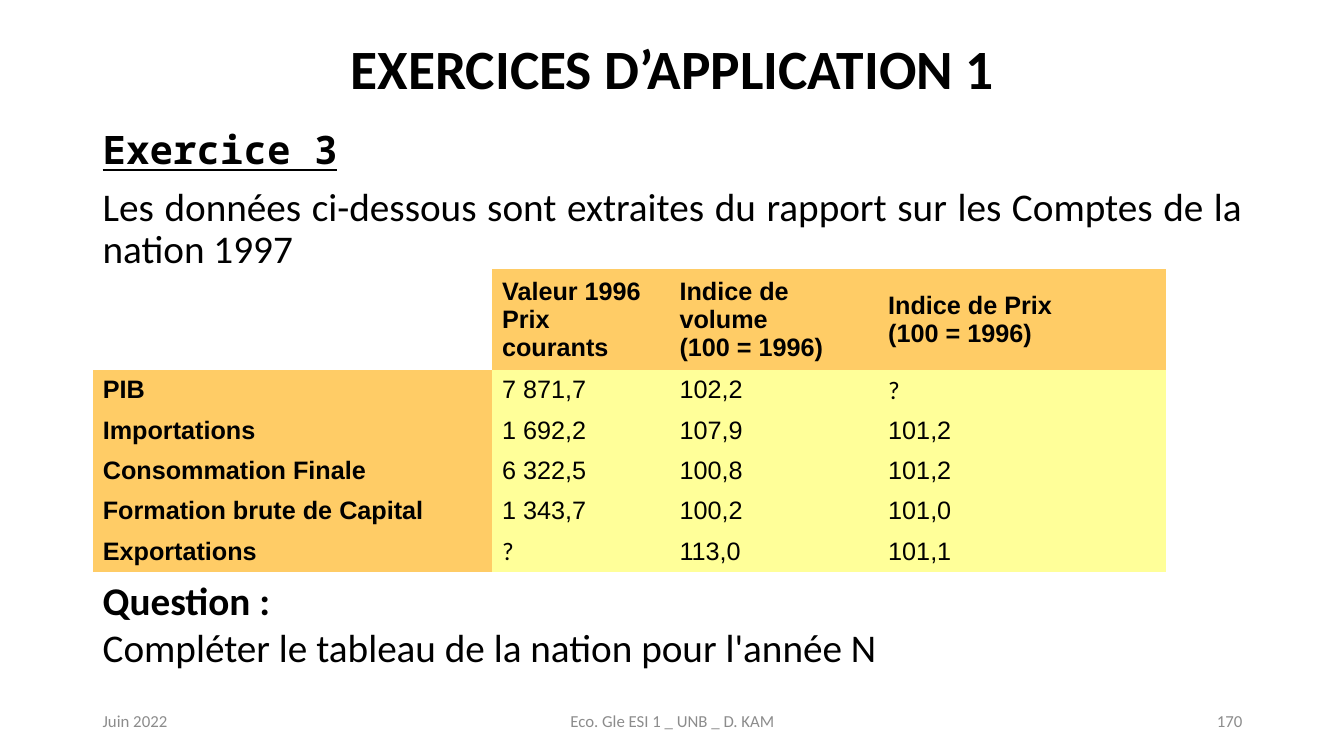
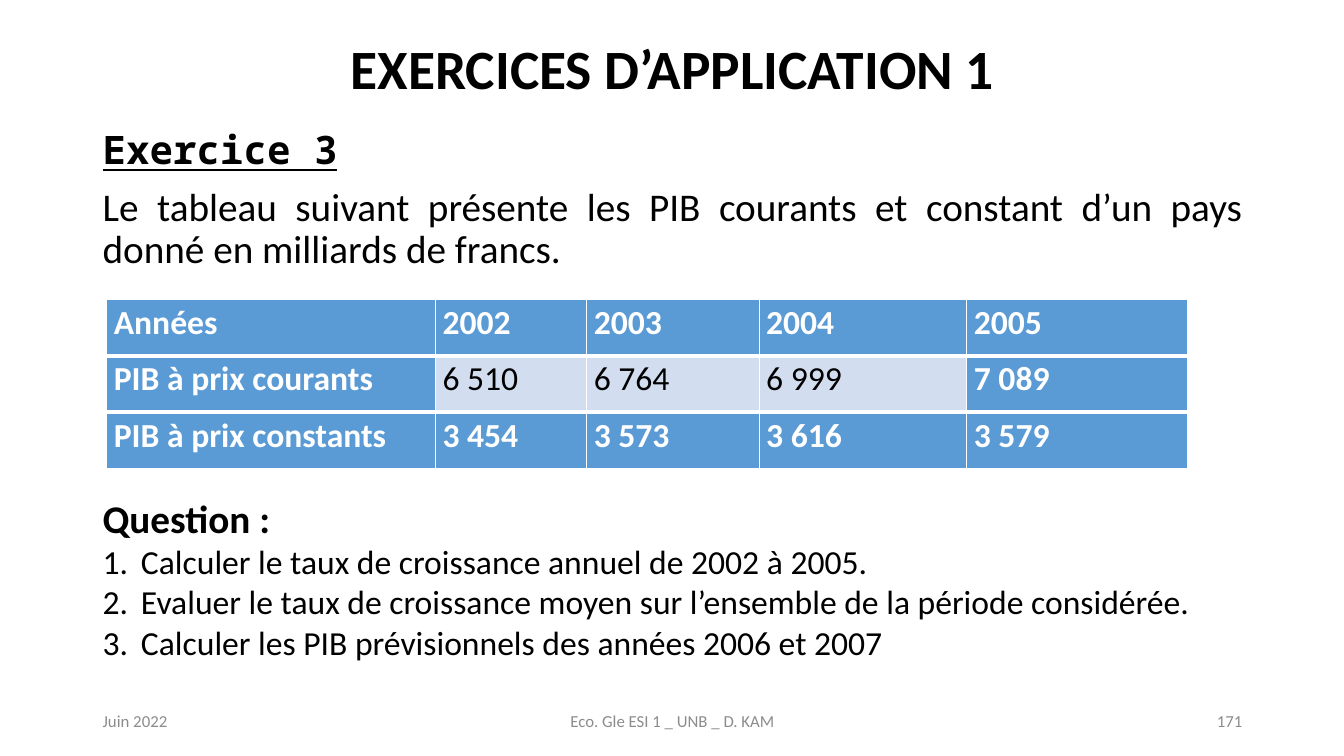
"""Build two exercise slides on national accounts, each with a data table."""
from lxml.etree import SubElement, Element
from pptx import Presentation
from pptx.dml.color import RGBColor
from pptx.enum.text import MSO_ANCHOR as Anchor, PP_ALIGN as Align
from pptx.oxml.ns import qn
from pptx.util import Inches, Pt

COLORS = {
    "ink": "000000",
    "footer": "8C8C8C",
    "white": "FFFFFF",
    "orange": "FFCC66",
    "yellow": "FFFF99",
    "blue": "5B9BD5",
    "pale": "D2DEEF",
}
NO_STYLE = "{2D5ABB26-0587-4C30-8999-92F81FD0307C}"
MARGIN, CONTENT = 0.92, 11.5


def write(para, text, size=28, font="Calibri", color="ink", bold=False,
          underline=False, align=Align.LEFT, spacing=None, before=0):
    para.alignment = align
    para.space_before = Pt(before)
    if spacing:
        para.line_spacing = spacing
    for number, line in enumerate(text.split("\n")):
        if number:
            para.add_line_break()
        span = para.add_run()
        span.text = line
        span.font.size = Pt(size)
        span.font.name = font
        span.font.bold = bold
        span.font.underline = underline
        span.font.color.rgb = RGBColor.from_string(COLORS[color])


def number_item(para, indent):
    props = para._p.get_or_add_pPr()
    props.set("marL", str(Inches(indent)))
    props.set("indent", str(-Inches(indent)))
    SubElement(props, qn("a:buFont"), typeface="+mj-lt")
    SubElement(props, qn("a:buAutoNum"), type="arabicPeriod")


def set_borders(cell, widths):
    props = cell._tc.get_or_add_tcPr()
    for place, (side, width) in enumerate(widths.items()):
        line = Element(qn(f"a:ln{side}"), w=str(Pt(width)))
        fill = SubElement(line, qn("a:solidFill"))
        SubElement(fill, qn("a:srgbClr"), val=COLORS["white"])
        props.insert(place, line)


class ExerciseDeck:
    def __init__(self):
        self.deck = Presentation()
        self.deck.slide_width = Inches(13.33)
        self.deck.slide_height = Inches(7.5)
        self.page = None

    def start_page(self, number, statement):
        self.page = self.deck.slides.add_slide(self.deck.slide_layouts[6])
        self.text(MARGIN, 0.4, CONTENT, 0.61, [
            ("EXERCICES D’APPLICATION 1",
             dict(size=39.6, bold=True, align=Align.CENTER, spacing=0.9)),
        ], anchor=Anchor.MIDDLE)
        body = dict(align=Align.JUSTIFY, spacing=0.9, before=10)
        self.text(MARGIN, 1.25, CONTENT, 5.5, [
            ("Exercice 3", dict(body, font="Noto Sans Mono", bold=True, underline=True)),
            (statement, body),
        ])
        for left, width, words, align in (
            (MARGIN, 3, "Juin 2022", Align.LEFT),
            (4.42, 4.5, "Eco. Gle ESI 1 _ UNB _ D. KAM", Align.CENTER),
            (9.42, 3, str(number), Align.RIGHT),
        ):
            self.text(left, 6.95, width, 0.4,
                      [(words, dict(size=12, color="footer", align=align))],
                      anchor=Anchor.MIDDLE)

    def text(self, left, top, width, height, lines, anchor=Anchor.TOP):
        box = self.page.shapes.add_textbox(
            Inches(left), Inches(top), Inches(width), Inches(height))
        frame = box.text_frame
        frame.word_wrap = True
        frame.vertical_anchor = anchor
        for index, (words, style) in enumerate(lines):
            para = frame.add_paragraph() if index else frame.paragraphs[0]
            write(para, words, **style)
        return frame

    def table(self, left, top, widths, heights, rows, look):
        table = self.page.shapes.add_table(
            len(rows), len(widths), Inches(left), Inches(top),
            Inches(sum(widths)), Inches(sum(heights))).table
        table.first_row = table.horz_banding = False
        table._tbl.tblPr.find(qn("a:tableStyleId")).text = NO_STYLE
        for column, width in zip(table.columns, widths):
            column.width = Inches(width)
        for row, height in zip(table.rows, heights):
            row.height = Inches(height)
        for row, values in enumerate(rows):
            for col, value in enumerate(values):
                cell = table.cell(row, col)
                fill, style = look(row, col, value)
                if fill:
                    cell.fill.solid()
                    cell.fill.fore_color.rgb = RGBColor.from_string(COLORS[fill])
                else:
                    cell.fill.background()
                if value:
                    write(cell.text_frame.paragraphs[0], value, **style)
        return table


def accounts_look(row, col, value):
    heading = row == 0 or col == 0
    fill = ("orange" if heading else "yellow") if value else None
    font = "Calibri" if value == "?" else "Arial"
    return fill, dict(size=18, font=font, bold=heading)


def gdp_look(row, col, value):
    plain = row == 1 and 1 <= col <= 3
    return "pale" if plain else "blue", dict(
        size=24, color="ink" if plain else "white", bold=not plain, spacing=1.07)


show = ExerciseDeck()

show.start_page(170, "Les données ci-dessous sont extraites du rapport "
                     "sur les Comptes de la nation 1997")
show.text(MARGIN, 5.67, 10.65, 1.04, [
    ("Question :", dict(bold=True)),
    ("Compléter le tableau de la nation pour l'année N", {}),
])
accounts = show.table(MARGIN, 2.67, [3.96, 1.76, 2.07, 2.86], [1] + [0.4] * 5, [
    ["", "Valeur 1996\nPrix courants", "Indice de volume\n(100 = 1996)",
     "Indice de Prix\n(100 = 1996)"],
    ["PIB", "7 871,7", "102,2", "?"],
    ["Importations", "1 692,2", "107,9", "101,2"],
    ["Consommation Finale", "6 322,5", "100,8", "101,2"],
    ["Formation brute de Capital", "1 343,7", "100,2", "101,0"],
    ["Exportations", "?", "113,0", "101,1"],
], accounts_look)
for cell in accounts.iter_cells():
    cell.vertical_anchor = Anchor.MIDDLE

show.start_page(171, "Le tableau suivant présente les PIB courants et constant "
                     "d’un pays donné en milliards de francs.")
item = dict(size=24)
questions = show.text(MARGIN, 4.85, 11.07, 1.78, [
    ("Question :", dict(bold=True)),
    ("Calculer le taux de croissance annuel de 2002 à 2005.", item),
    ("Evaluer le taux de croissance moyen sur l’ensemble de la période considérée.", item),
    ("Calculer les PIB prévisionnels des années 2006 et 2007", item),
])
for para in questions.paragraphs[1:]:
    number_item(para, 0.38)
gdp_rows = [
    ["Années", "2002", "2003", "2004", "2005"],
    ["PIB à prix courants", "6 510", "6 764", "6 999", "7 089"],
    ["PIB à prix constants", "3 454", "3 573", "3 616", "3 579"],
]
gdp = show.table(1.06, 2.97, [3.26, 1.5, 1.71, 2.06, 2.19], [0.56] * 3, gdp_rows, gdp_look)
for index, cell in enumerate(gdp.iter_cells()):
    row = index // len(gdp.columns)
    cell.margin_left = cell.margin_right = Inches(0.07)
    cell.margin_top = cell.margin_bottom = 0
    set_borders(cell, {"L": 1, "R": 1, "T": 3 if row else 1,
                       "B": 3 if row < len(gdp_rows) - 1 else 1})

show.deck.save("out.pptx")
